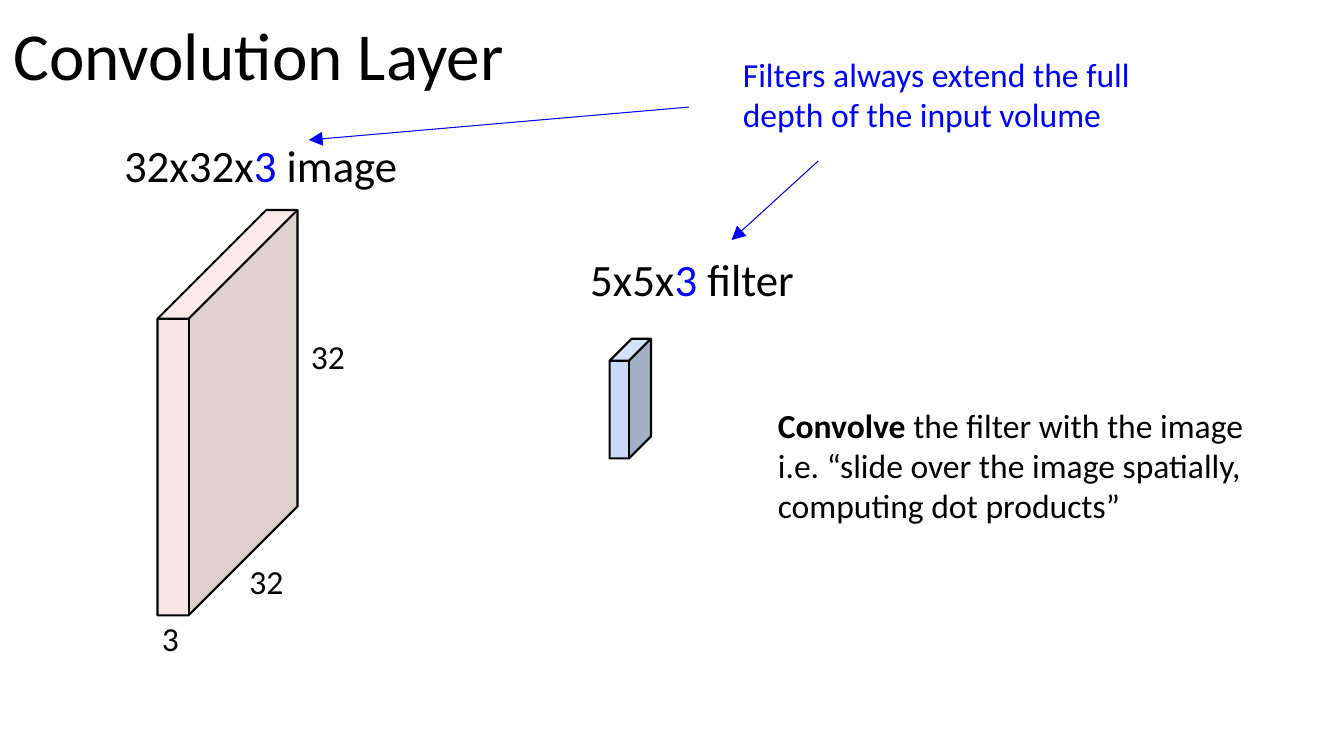
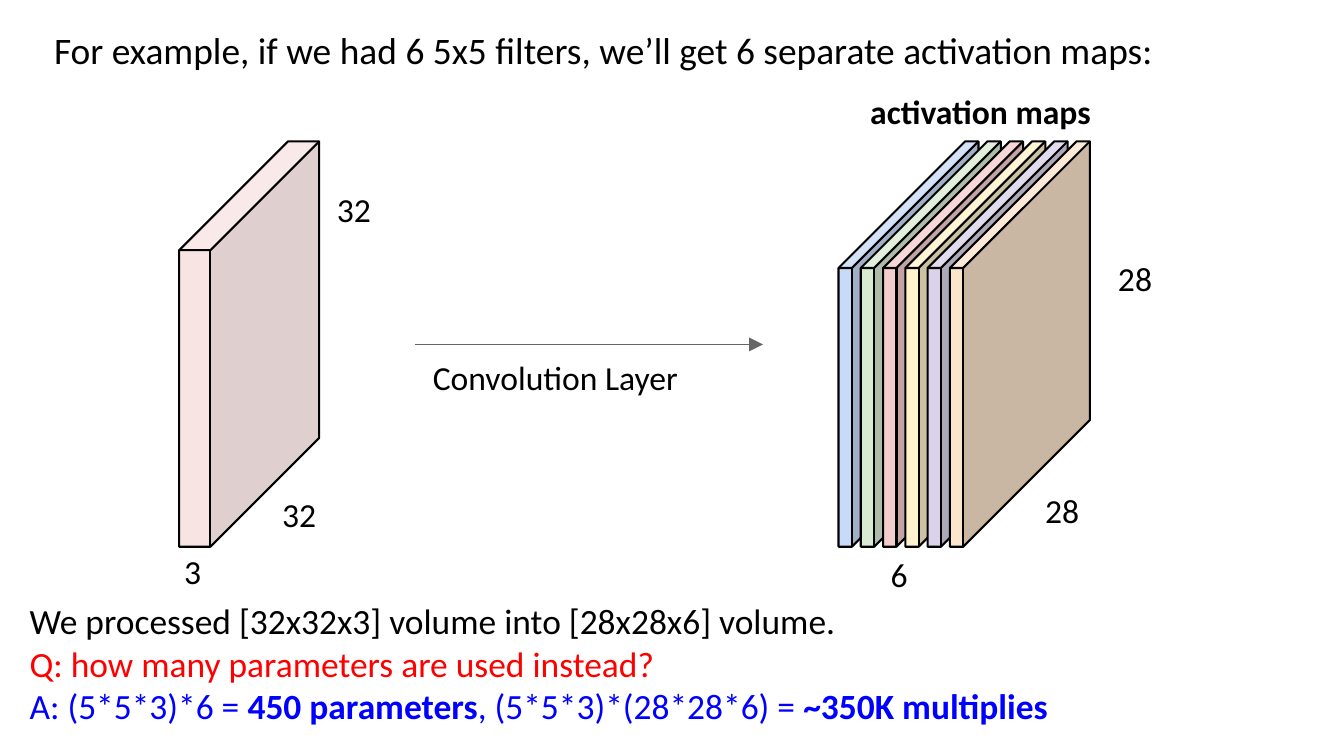
import pptx
import pptx.dml.color
import pptx.enum.shapes
import pptx.enum.text
import pptx.oxml
import pptx.oxml.ns
import pptx.util

Pt = pptx.util.Pt
qn = pptx.oxml.ns.qn


class Theme:
    font = "Calibri"
    page = (960, 540)
    inset = 9.6
    # Colours
    ink, blue, red, grey = "000000", "0000FF", "FF0000", "666666"
    pink, sky = "F4CCCC", "C9DAF8"
    maps = (sky, "D9EAD3", pink, "FFF2CC", "D9D2E9", "FCE5CD")
    # Type sizes
    title, label, lead, close, text = 48, 32, 26.7, 25.3, 24
    # Line widths and cube face
    edge, thin = 1.5, 0.75
    cube = (100, 289.5)
    clear = 52


def rgb(code):
    return pptx.dml.color.RGBColor.from_string(code)


def write(shape, lines, size):
    """Fill a text shape; each line is a list of (text, colour, bold) runs."""
    frame = shape.text_frame
    format = {
        "word_wrap": True,
        "auto_size": pptx.enum.text.MSO_AUTO_SIZE.NONE,
        "vertical_anchor": pptx.enum.text.MSO_ANCHOR.TOP,
    }
    for side in ("left", "top", "right", "bottom"):
        format["margin_" + side] = Pt(Theme.inset)
    for key, value in format.items():
        setattr(frame, key, value)
    for n, line in enumerate(lines):
        para = frame.add_paragraph() if n else frame.paragraphs[0]
        para.alignment = pptx.enum.text.PP_ALIGN.LEFT
        for text, color, bold in line:
            run = para.add_run()
            run.text = text
            style = {"name": Theme.font, "size": Pt(size), "bold": bold}
            for key, value in style.items():
                setattr(run.font, key, value)
            run.font.color.rgb = rgb(color)


def plain(text, color=Theme.ink, bold=False):
    return [(text, color, bold)]


def note(slide, box, lines, size=Theme.text):
    shape = slide.shapes.add_textbox(*map(Pt, box))
    write(shape, lines, size)


def head(slide, box, text, size):
    title = slide.shapes.title
    for key, value in zip(("left", "top", "width", "height"), box):
        setattr(title, key, Pt(value))
    write(title, [plain(text)], size)


def arrow(slide, start, end, color):
    line = slide.shapes.add_connector(
        pptx.enum.shapes.MSO_CONNECTOR.STRAIGHT, *map(Pt, start + end))
    line.line.color.rgb = rgb(color)
    line.line.width = Pt(Theme.thin)
    props = line._element.spPr
    tip = pptx.oxml.parse_xml(
        '<a:tailEnd xmlns:a="http://schemas.openxmlformats.org/drawingml/2006/main"'
        ' type="triangle" w="lg" len="lg"/>')
    props.find(qn("a:ln")).append(tip)
    props.append(props.makeelement(qn("a:effectLst"), {}))


def block(slide, box, depth, fill, clear=None):
    """Draw a cube; depth is the slant as a share of its short side."""
    cube = slide.shapes.add_shape(
        pptx.enum.shapes.MSO_SHAPE.CUBE, *map(Pt, box))
    cube.shadow.inherit = False
    cube.adjustments[0] = depth
    cube.fill.solid()
    cube.fill.fore_color.rgb = rgb(fill)
    if clear:
        tint = cube._element.spPr.find(qn("a:solidFill")).find(qn("a:srgbClr"))
        tint.append(tint.makeelement(qn("a:alpha"), {"val": str(clear * 1000)}))
    cube.line.color.rgb = rgb(Theme.ink)
    cube.line.width = Pt(Theme.edge)


def marks(slide, left, top, sizes):
    """Place size labels at offsets from a corner."""
    for text, across, down in sizes:
        note(slide, (left + across, top + down, 52, 32), [plain(text)])


def input_block(slide, left, top, sizes):
    block(slide, (left, top, *Theme.cube), 0.777, Theme.pink, Theme.clear)
    marks(slide, left, top, sizes)


def map_stack(slide, left, top, step):
    for n, fill in enumerate(Theme.maps):
        block(slide, (left + n * step, top, *Theme.cube), 0.904, fill)
    note(slide, (left + 13, top - 46, 217, 57),
         [plain("activation maps", bold=True)])
    marks(slide, left, top, [("28", 138, 239), ("28", 190, 73.5), ("6", 27.5, 285)])


def shape_name(slide, box, size, kind):
    """Write a size label with its depth in blue."""
    note(slide, box, [plain(size) + plain("3", Theme.blue) + plain(kind)],
         Theme.label)


def filter_slide(slide):
    head(slide, (0, 0, 808, 69), "Convolution Layer", Theme.title)

    # Image volume
    shape_name(slide, (79, 88.5, 351, 50), "32x32x", " image")
    input_block(slide, 112.5, 150,
                [("32", 56, 241), ("32", 100, 80), ("3", -6.5, 282)])

    # Filter
    shape_name(slide, (412, 170.5, 222, 37), "5x5x", " filter")
    block(slide, (435.5, 242, 29.5, 85.5), 0.534, Theme.sky)
    note(slide, (546, 279.5, 414, 80), [
        plain("Convolve ", bold=True) + plain("the filter with the image"),
        plain("i.e. “slide over the image spatially, computing dot products”")])

    # Depth remark with its arrows
    note(slide, (521, 29, 345, 61), [plain(
        "Filters always extend the full depth of the input volume", Theme.blue)])
    for start, end in (((584.5, 115), (522.5, 171.5)), ((492, 76.5), (220.5, 100))):
        arrow(slide, start, end, Theme.blue)


def maps_slide(slide):
    head(slide, (29, 10, 916, 40),
         "For example, if we had 6 5x5 filters, we’ll get 6 separate activation maps:",
         Theme.lead)

    # Input, layer arrow and output
    top = 101
    input_block(slide, 128, top,
                [("32", 64, 242), ("32", 103, 24), ("3", -6, 283)])
    arrow(slide, (296.5, 246), (545, 246), Theme.grey)
    note(slide, (299.5, 245, 270, 48), [plain("Convolution Layer")])
    map_stack(slide, 599, top, 15.9)

    # Question and answer
    blue = Theme.blue
    note(slide, (11.5, 418.5, 940, 115), [
        plain("We processed [32x32x3] volume into [28x28x6] volume."),
        plain("Q: how many parameters are used instead?", Theme.red),
        plain("A: (5*5*3)*6 = ", blue) + plain("450 parameters", blue, True)
        + plain(", (5*5*3)*(28*28*6) = ", blue)
        + plain("~350K multiplies", blue, True)], Theme.close)


def main():
    deck = pptx.Presentation()
    deck.slide_width, deck.slide_height = map(Pt, Theme.page)
    for build in (filter_slide, maps_slide):
        build(deck.slides.add_slide(deck.slide_layouts[5]))
    deck.save("out.pptx")


if __name__ == "__main__":
    main()
